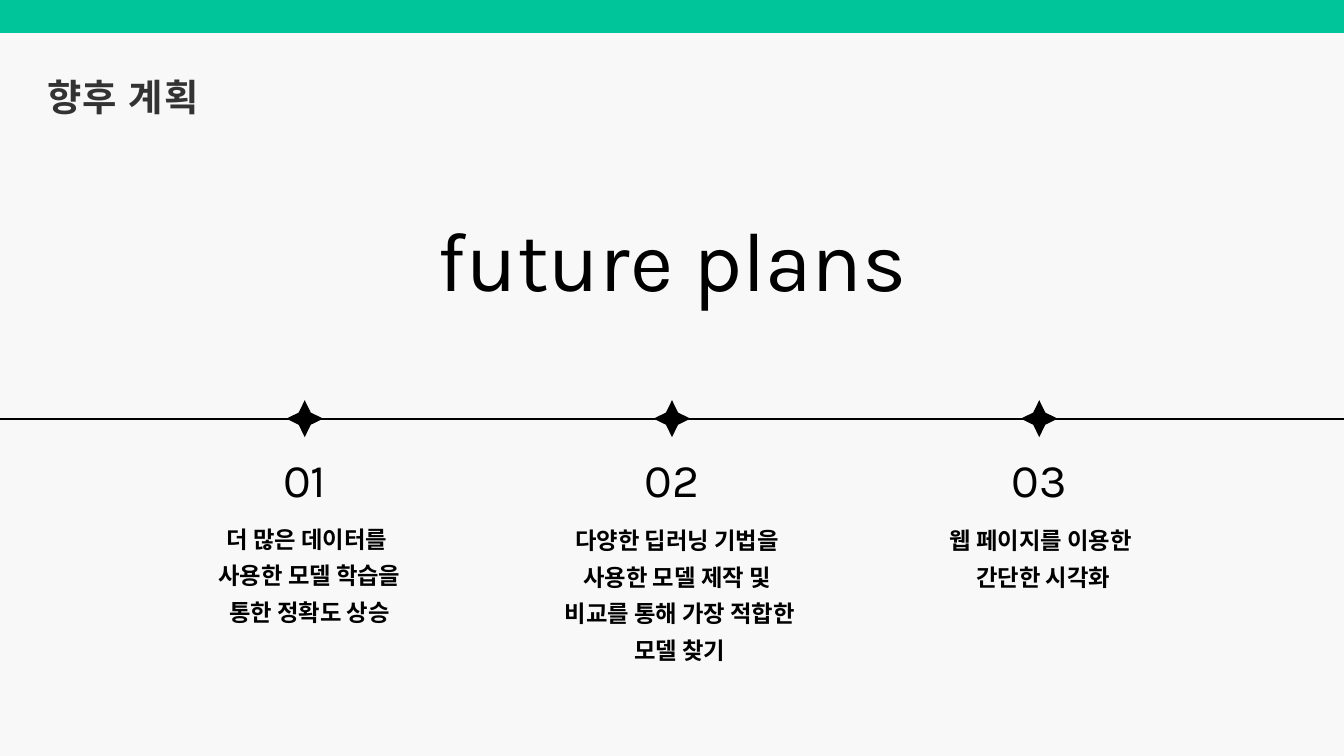
from lxml.etree import SubElement
from pptx import Presentation
from pptx.dml.color import RGBColor
from pptx.enum.shapes import MSO_CONNECTOR, MSO_SHAPE
from pptx.enum.text import MSO_ANCHOR, MSO_AUTO_SIZE, PP_ALIGN
from pptx.oxml.ns import qn
from pptx.util import Inches, Pt

WIDTH, HEIGHT = 20, 11.25
CENTER = WIDTH / 2
STEP_GAP = 5.465
LINE_Y = 6.23
LATIN, KOREAN = "Karla", "Noto Sans CJK KR"
GREEN, BLACK, GRAY, PAPER = "00C49A", "000000", "333333", "F8F8F8"

# number, text left, top, width, height, paragraphs
STEPS = [
    ("01", 3.13, 7.69, 2.95, 1.59,
     ["더 많은 데이터를 ", "사용한 모델 학습을 통한 정확도 상승"]),
    ("02", 8.23, 7.71, 3.77, 2.14,
     ["다양한 딥러닝 기법을 ", "사용한 모델 제작 및 ", "비교를 통해 가장 적합한 모델 찾기"]),
    ("03", 14.05, 7.71, 2.95, 1.04,
     ["웹 페이지를 이용한 ", "간단한 시각화"]),
]


def color(value):
    return RGBColor.from_string(value)


def paint(shape, fill):
    shape.shadow.inherit = False
    shape.fill.solid()
    shape.fill.fore_color.rgb = color(fill)
    shape.line.fill.background()


def write(shape, lines, size, spacing, font, fill=BLACK, bold=False,
          align=PP_ALIGN.CENTER, tracking=None):
    """Fill a shape with one paragraph per line, in a single style."""
    frame = shape.text_frame
    frame.word_wrap = True
    frame.auto_size = MSO_AUTO_SIZE.SHAPE_TO_FIT_TEXT
    frame.vertical_anchor = MSO_ANCHOR.TOP
    frame.margin_left = frame.margin_right = 0
    frame.margin_top = frame.margin_bottom = 0
    for index, line in enumerate(lines):
        paragraph = frame.add_paragraph() if index else frame.paragraphs[0]
        paragraph.alignment = align
        paragraph.line_spacing = Pt(spacing)
        run = paragraph.add_run()
        run.text = line
        run.font.size = Pt(size)
        run.font.bold = bold
        run.font.color.rgb = color(fill)
        run.font.name = font
        properties = run.font._element
        SubElement(properties, qn("a:ea"), typeface=font)
        if tracking:
            properties.set("spc", str(tracking))


def add_text(slide, left, top, width, height, lines, **style):
    box = slide.shapes.add_textbox(
        Inches(left), Inches(top), Inches(width), Inches(height))
    write(box, lines, **style)


def add_title(slide, text):
    title = slide.shapes.title
    title.left, title.top = Inches(0.7), Inches(1.11)
    title.width, title.height = Inches(11.58), Inches(0.64)
    write(title, [text], size=40, spacing=48, font=KOREAN, fill=GRAY,
          bold=True, align=PP_ALIGN.LEFT, tracking=160)


def add_banner(slide):
    banner = slide.shapes.add_shape(
        MSO_SHAPE.RECTANGLE, 0, 0, Inches(WIDTH), Inches(0.49))
    paint(banner, GREEN)


def add_timeline(slide):
    y = Inches(LINE_Y)
    line = slide.shapes.add_connector(
        MSO_CONNECTOR.STRAIGHT, 0, y, Inches(WIDTH), y)
    line.line.color.rgb = color(BLACK)
    line.line.width = Pt(2.25)
    SubElement(line._element.spPr, qn("a:effectLst"))


def add_star(slide, x, y, outer=0.275, inner=0.09):
    """Draw a four-pointed star centred on x, y."""
    offsets = [(0, -outer), (inner, -inner), (outer, 0), (inner, inner),
               (0, outer), (-inner, inner), (-outer, 0), (-inner, -inner)]
    points = [(Inches(x + dx), Inches(y + dy)) for dx, dy in offsets]
    builder = slide.shapes.build_freeform(*points[0])
    builder.add_line_segments(points[1:], close=True)
    paint(builder.convert_to_shape(), BLACK)


def add_step(slide, x, number, left, top, width, height, lines):
    add_star(slide, x, LINE_Y)
    add_text(slide, x - 1.2, 6.83, 2.4, 0.74, [number],
             size=50, spacing=51.5, font=LATIN)
    add_text(slide, left, top, width, height, lines,
             size=25, spacing=39, font=KOREAN, bold=True)


def main():
    presentation = Presentation()
    presentation.slide_width = Inches(WIDTH)
    presentation.slide_height = Inches(HEIGHT)
    slide = presentation.slides.add_slide(presentation.slide_layouts[5])
    background = slide.background.fill
    background.solid()
    background.fore_color.rgb = color(PAPER)

    add_title(slide, "향후 계획")
    add_banner(slide)
    add_timeline(slide)
    add_text(slide, 5.18, 3.37, 9.65, 1.29, ["future plans"],
             size=90, spacing=87.3, font=LATIN)
    for index, step in enumerate(STEPS):
        add_step(slide, CENTER + (index - 1) * STEP_GAP, *step)
    presentation.save("out.pptx")


if __name__ == "__main__":
    main()
